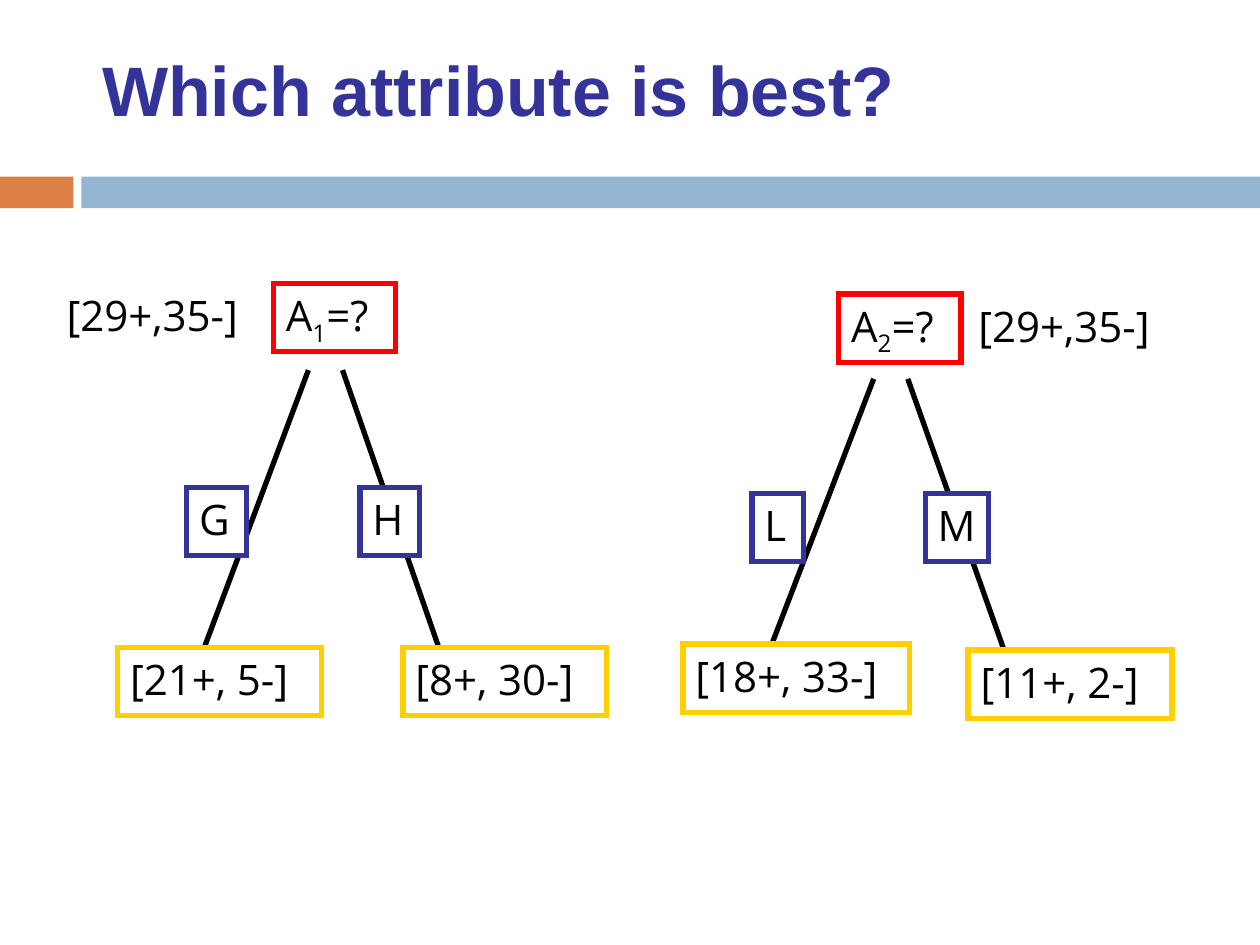
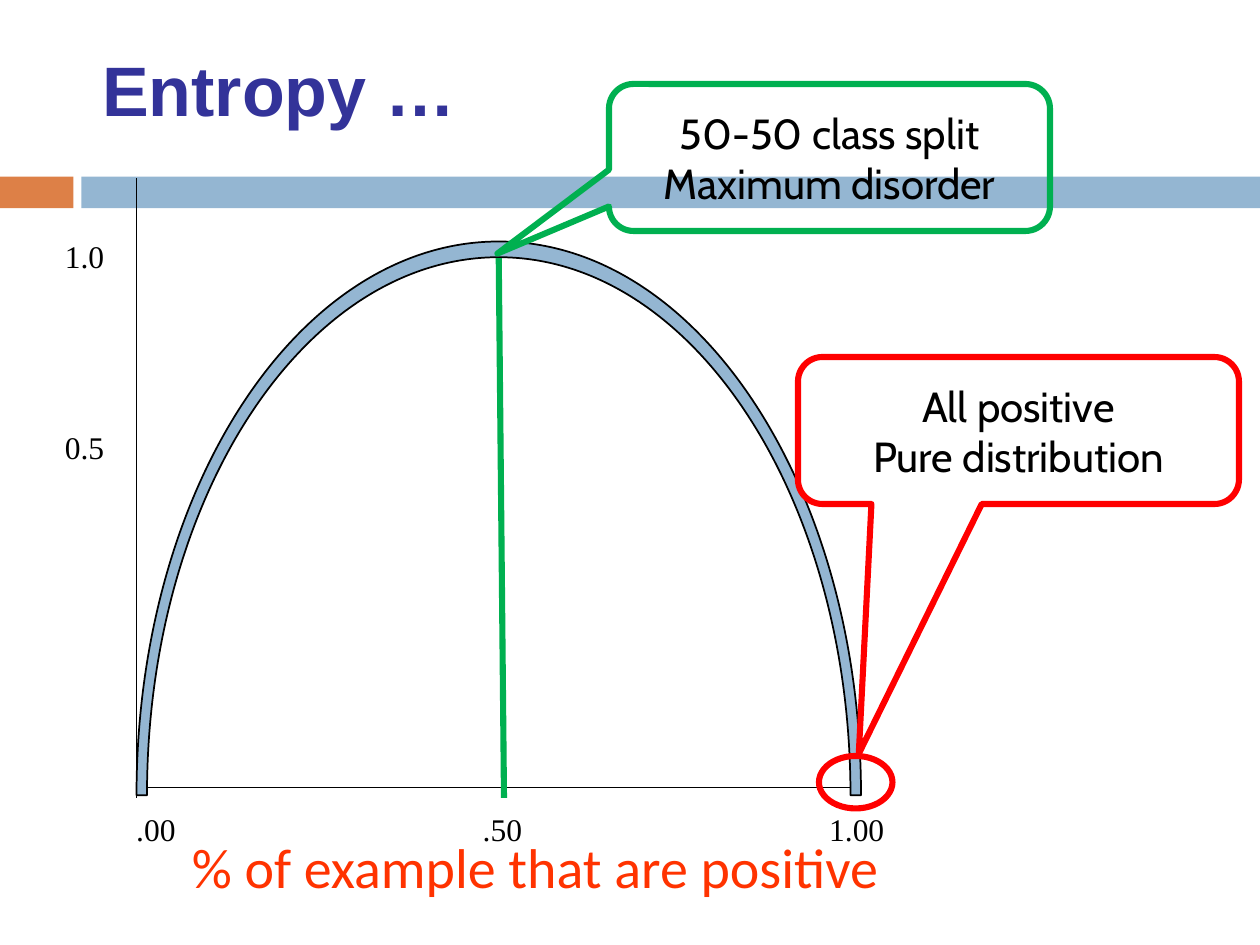
import lxml.etree
import pptx
import pptx.dml.color
import pptx.enum.shapes
import pptx.enum.text
import pptx.oxml.ns
import pptx.util

Pt = pptx.util.Pt
RGBColor = pptx.dml.color.RGBColor
Shape = pptx.enum.shapes.MSO_SHAPE
Anchor = pptx.enum.text.MSO_ANCHOR
Align = pptx.enum.text.PP_ALIGN
qn = pptx.oxml.ns.qn

BLACK = RGBColor(0, 0, 0)
WHITE = RGBColor(0xFF, 0xFF, 0xFF)
ORANGE = RGBColor(0xDD, 0x80, 0x47)
BLUE = RGBColor(0x94, 0xB6, 0xD2)
INDIGO = RGBColor(0x33, 0x33, 0x99)
RED = RGBColor(0xFF, 0, 0)
GOLD = RGBColor(0xFF, 0xCF, 0x01)
GREEN = RGBColor(0, 0xB0, 0x50)
VERMILION = RGBColor(0xFF, 0x33, 0)

TITLE_BOX = (51.25, 12.25, 648, 65.75)
TITLE_FONT = {"name": "Arial", "size": Pt(40), "bold": True}
TREE_FONT = {"name": "Open Sans", "size": Pt(24)}
AXIS_FONT = {"name": "Times New Roman", "size": Pt(18)}
CAPTION_FONT = {"name": "Calibri", "size": Pt(32)}
CALLOUT_FONT = {"name": "Cabin", "size": Pt(24)}

BANDS = [((0, 101, 42, 18), ORANGE), ((46.5, 101, 673.5, 18), BLUE)]

TREES = [
    {"left": 156.25, "root_top": 162, "edge": (211.5, 370), "branch_top": 278.5,
     "attribute": "1", "counts": "[29+,35-]", "counts_left": 31,
     "branches": [("G", 34), ("H", 34)],
     "leaves": [("[21+, 5-]", 370, 116.5), ("[8+, 30-]", 370, 116.5)]},
    {"left": 479.25, "root_top": 168, "edge": (216.5, 371.5), "branch_top": 282,
     "attribute": "2", "counts": "[29+,35-]", "counts_left": 552,
     "branches": [("L", 29.5), ("M", 36)],
     "leaves": [("[18+, 33-]", 368, 129.5), ("[11+, 2-]", 371.5, 116.5)]},
]
EDGE_OFFSETS = [(20, -39.5), (39.5, 94.5)]
BRANCH_OFFSETS = [-49.5, 49.5]
LEAF_OFFSETS = [-89, 74]
ROOT_WIDTH, BOX_HEIGHT = 70, 39

AXES = [(78, 102, 78, 456), (486, 450, 84, 450)]
ENTROPY_LABELS = ["1.0", "0.5"]
ENTROPY_LABEL_GAP = 87.3
SHARE_LABELS = [".00", ".50", "1.00"]
SHARE_LABEL_STEP = 198
ARC_FRAME = (78, 138, 414, 636)
ARC_CENTER = (285, 454.5)
ARC_OUTER, ARC_INNER = (207, 316.5), (201, 307.5)
QUARTER_HANDLE = 0.5523
CAPTION = "% of example that are positive"
CALLOUTS = [
    ((348, 48, 252, 84), (-0.753, 0.654, 0.167), GREEN,
     ["50-50 class split", "Maximum disorder"]),
    ((456, 204, 252, 84), (-0.362, 2.199, 0.167), RED,
     ["All positive", "Pure distribution"]),
]


def points(values):
    return [Pt(value) for value in values]


def style(shape, fill=None, line=None, width=3):
    shape.shadow.inherit = False
    if fill is None:
        shape.fill.background()
    else:
        shape.fill.solid()
        shape.fill.fore_color.rgb = fill
    if line is None:
        shape.line.fill.background()
    else:
        shape.line.color.rgb = line
        shape.line.width = Pt(width)


def add_shape(shapes, kind, box, **formats):
    shape = shapes.add_shape(kind, *points(box))
    style(shape, **formats)
    return shape


def add_line(shapes, ends, color, width):
    connector = shapes.add_connector(
        pptx.enum.shapes.MSO_CONNECTOR.STRAIGHT, *points(ends))
    connector.line.color.rgb = color
    connector.line.width = Pt(width)
    lxml.etree.SubElement(connector._element.spPr, qn("a:effectLst"))


def write(shape, lines, font, color=BLACK, align=Align.LEFT, anchor=Anchor.TOP):
    frame = shape.text_frame
    frame.word_wrap = True
    frame.vertical_anchor = anchor
    for index, runs in enumerate(lines):
        paragraph = frame.add_paragraph() if index else frame.paragraphs[0]
        paragraph.alignment = align
        for text, baseline in runs:
            run = paragraph.add_run()
            run.text = text
            for name, value in font.items():
                setattr(run.font, name, value)
            run.font.color.rgb = color
            if baseline:
                run._r.get_or_add_rPr().set("baseline", str(baseline))


def plain(*texts):
    return [[(text, 0)] for text in texts]


def add_text(shapes, box, texts, font, **formats):
    text_box = shapes.add_textbox(*points(box))
    write(text_box, plain(*texts), font, **formats)
    return text_box.text_frame.paragraphs


def add_bands(slide, layout):
    for position, (box, color) in enumerate(BANDS, start=2):
        band = add_shape(slide.shapes, Shape.RECTANGLE, box, fill=color)
        layout.shapes._spTree.insert(position, band._element)


def add_slide(presentation, title):
    slide = presentation.slides.add_slide(presentation.slide_layouts[5])
    placeholder = slide.shapes.title
    position = zip(("left", "top", "width", "height"), points(TITLE_BOX))
    for name, value in position:
        setattr(placeholder, name, value)
    write(placeholder, plain(title), TITLE_FONT, INDIGO, anchor=Anchor.BOTTOM)
    return slide


def bring_title_to_front(slide):
    slide.shapes._spTree.append(slide.shapes.title._element)


def add_node(shapes, left, top, width, color, runs):
    box = (left, top, width, BOX_HEIGHT)
    node = add_shape(shapes, Shape.RECTANGLE, box, fill=WHITE, line=color)
    lxml.etree.SubElement(node.line._get_or_add_ln(), qn("a:miter"), lim="800000")
    write(node, [runs], TREE_FONT)


def add_tree(slide, tree):
    shapes = slide.shapes.add_group_shape().shapes
    left = tree["left"]
    top, bottom = tree["edge"]
    for start, end in EDGE_OFFSETS:
        add_line(shapes, (left + start, top, left + end, bottom), BLACK, 3)
    add_node(shapes, left, tree["root_top"], ROOT_WIDTH, RED,
             [("A", 0), (tree["attribute"], -25000), ("=?", 0)])
    for offset, (text, width) in zip(BRANCH_OFFSETS, tree["branches"]):
        add_node(shapes, left + offset, tree["branch_top"], width, INDIGO, [(text, 0)])
    for offset, (text, leaf_top, width) in zip(LEAF_OFFSETS, tree["leaves"]):
        add_node(shapes, left + offset, leaf_top, width, GOLD, [(text, 0)])
    add_text(shapes, (tree["counts_left"], tree["root_top"], 119, 36),
             [tree["counts"]], TREE_FONT)


def add_axis_labels(shapes):
    labels = add_text(shapes, (30, 132, 45, 180), ENTROPY_LABELS, AXIS_FONT)
    labels[1].space_before = Pt(ENTROPY_LABEL_GAP)
    row = add_text(shapes, (70.75, 459.5, 446.5, 29), ["\t".join(SHARE_LABELS)], AXIS_FONT)
    stops = lxml.etree.SubElement(row[0]._p.get_or_add_pPr(), qn("a:tabLst"))
    for index in range(1, len(SHARE_LABELS)):
        lxml.etree.SubElement(stops, qn("a:tab"), algn="l",
                              pos=str(Pt(index * SHARE_LABEL_STEP)))


def half_ellipse(radii):
    handle = QUARTER_HANDLE
    units = [(-1, 0), (-1, handle), (-handle, 1), (0, 1), (handle, 1), (1, handle), (1, 0)]
    return [(ARC_CENTER[0] + radii[0] * x, ARC_CENTER[1] - radii[1] * y)
            for x, y in units]


def add_arc(shapes):
    left, top, width, height = ARC_FRAME
    builder = shapes.build_freeform(Pt(left), Pt(top), scale=1.0)
    builder.add_line_segments([(Pt(left + width), Pt(top)),
                               (Pt(left + width), Pt(top + height)),
                               (Pt(left), Pt(top + height))], close=True)
    arc = builder.convert_to_shape()
    style(arc, fill=BLUE, line=BLACK, width=1)
    outline = next(arc._element.iter(qn("a:pathLst")))[0]
    for command in list(outline):
        outline.remove(command)
    outer, inner = half_ellipse(ARC_OUTER), half_ellipse(ARC_INNER)[::-1]
    commands = [("moveTo", outer[:1]), ("cubicBezTo", outer[1:4]),
                ("cubicBezTo", outer[4:]), ("lnTo", inner[:1]),
                ("cubicBezTo", inner[1:4]), ("cubicBezTo", inner[4:]), ("close", [])]
    for name, vertices in commands:
        command = lxml.etree.SubElement(outline, qn("a:" + name))
        for x, y in vertices:
            lxml.etree.SubElement(command, qn("a:pt"),
                                  x=str(Pt(x - left)), y=str(Pt(y - top)))


presentation = pptx.Presentation()
presentation.slide_width, presentation.slide_height = Pt(720), Pt(540)

tree_slide = add_slide(presentation, "Which attribute is best?")
add_bands(tree_slide, presentation.slide_layouts[5])
for tree in TREES:
    add_tree(tree_slide, tree)

entropy_slide = add_slide(presentation, "Entropy …")
shapes = entropy_slide.shapes
for ends in AXES:
    add_line(shapes, ends, BLACK, 1)
add_axis_labels(shapes)
add_arc(shapes)
add_text(shapes, (36, 456, 540, 78), [CAPTION], CAPTION_FONT,
         color=VERMILION, align=Align.CENTER, anchor=Anchor.MIDDLE)
add_line(shapes, (285, 147.5, 288, 456), GREEN, 3.5)
add_shape(shapes, Shape.OVAL, (468, 432, 42, 30), line=RED, width=3.5)
for box, adjustments, color, lines in CALLOUTS:
    callout = add_shape(shapes, Shape.ROUNDED_RECTANGULAR_CALLOUT, box,
                        line=color, width=3.5)
    for index, value in enumerate(adjustments):
        callout.adjustments[index] = value
    write(callout, plain(*lines), CALLOUT_FONT, align=Align.CENTER, anchor=Anchor.MIDDLE)

for slide in presentation.slides:
    bring_title_to_front(slide)

presentation.save("out.pptx")
